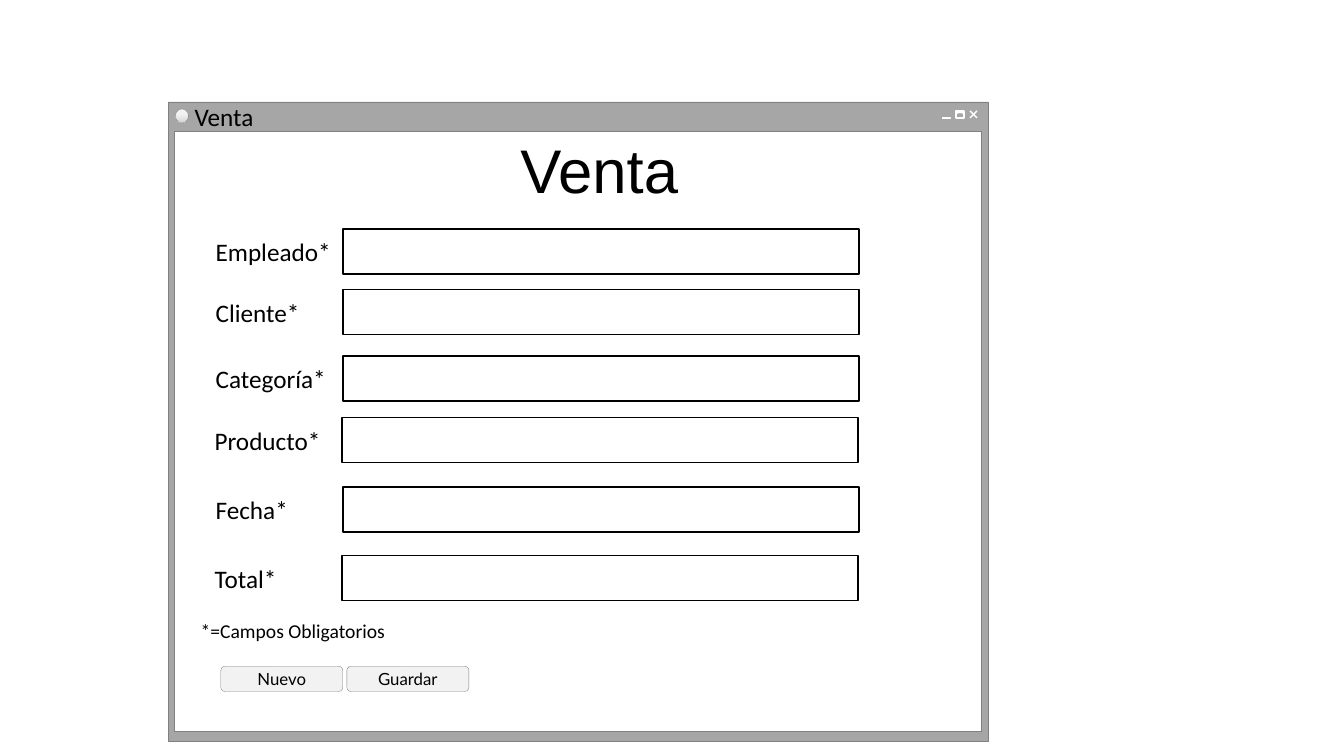
from copy import deepcopy

from lxml import etree
from pptx import Presentation
from pptx.dml.color import RGBColor
from pptx.enum.shapes import MSO_CONNECTOR, MSO_SHAPE
from pptx.enum.text import MSO_ANCHOR, PP_ALIGN
from pptx.oxml.ns import qn
from pptx.util import Inches, Pt

RECT, ROUNDED, OVAL = MSO_SHAPE.RECTANGLE, MSO_SHAPE.ROUNDED_RECTANGLE, MSO_SHAPE.OVAL
STRAIGHT = MSO_CONNECTOR.STRAIGHT
TOP, MIDDLE = MSO_ANCHOR.TOP, MSO_ANCHOR.MIDDLE
LEFT, CENTER = PP_ALIGN.LEFT, PP_ALIGN.CENTER

BLACK = RGBColor(0x00, 0x00, 0x00)
WHITE = RGBColor(0xFF, 0xFF, 0xFF)
FRAME_GRAY = RGBColor(0xA6, 0xA6, 0xA6)
EDGE_GRAY = RGBColor(0x80, 0x80, 0x80)
GLYPH_GRAY = RGBColor(0x91, 0x91, 0x91)
LIGHT = RGBColor(0xF2, 0xF2, 0xF2)
SHADE = RGBColor(0xD9, 0xD9, 0xD9)

WINDOW = (1.67, 1.01, 8.13, 6.34)
FORM = (1.73, 1.3, 8, 5.95)
FIELDS = [
    ("Empleado*", 0.31, 0.97),
    ("Cliente*", 0.31, 1.57),
    ("Categoría*", 0.31, 2.23),
    ("Producto*", 0.3, 2.84),
    ("Fecha*", 0.31, 3.53),
    ("Total*", 0.3, 4.21),
]
BUTTONS = ["Nuevo", "Guardar"]
BUTTON_STEP = 1.25


def draw_shape(slide, kind, box, fill, line, weight):
    shape = slide.shapes.add_shape(kind, *map(Inches, box))
    shape.shadow.inherit = False
    if fill is None:
        shape.fill.background()
    else:
        shape.fill.solid()
        shape.fill.fore_color.rgb = fill
    shape.line.color.rgb = line
    shape.line.width = Pt(weight)
    return shape


def write(shape, text, size, font="Calibri", align=LEFT, anchor=TOP,
          insets=(0.1, 0.05, 0.1, 0.05), wrap=True):
    frame = shape.text_frame
    left, top, right, bottom = map(Inches, insets)
    layout = {"margin_left": left, "margin_top": top, "margin_right": right,
              "margin_bottom": bottom, "vertical_anchor": anchor, "word_wrap": wrap}
    for name, value in layout.items():
        setattr(frame, name, value)
    paragraph = frame.paragraphs[0]
    paragraph.alignment = align
    run = paragraph.add_run()
    run.text = text
    run.font.size = Pt(size)
    run.font.name = font
    run.font.color.rgb = BLACK


def add_label(slide, box, text, size, **style):
    write(slide.shapes.add_textbox(*map(Inches, box)), text, size, **style)


def add_stroke(slide, x1, y1, x2, y2):
    stroke = slide.shapes.add_connector(STRAIGHT, *map(Inches, (x1, y1, x2, y2)))
    stroke.line.color.rgb = WHITE
    stroke.line.width = Pt(1)
    etree.SubElement(stroke._element.spPr, qn("a:effectLst"))


def shade_orb(orb):
    orb.fill.gradient()
    orb.fill.gradient_angle = 270
    stop_list = orb._element.spPr.find(".//" + qn("a:gsLst"))
    stop_list.append(deepcopy(stop_list[-1]))
    for stop, (position, color) in zip(
            orb.fill.gradient_stops, [(0.36, LIGHT), (0.91, SHADE), (1, LIGHT)]):
        stop.position = position
        stop.color.rgb = color


def add_window(slide, box):
    left, top, width, height = box
    right = left + width
    draw_shape(slide, RECT, box, FRAME_GRAY, EDGE_GRAY, 0.25)
    draw_shape(slide, RECT, FORM, WHITE, EDGE_GRAY, 0.25)
    add_label(slide, (left + 0.21, top - 0.03, 0.74, 0.35), "Venta", 18,
              anchor=MIDDLE, insets=(0.05, 0.02, 0.1, 0.03), wrap=False)

    close, upper, lower = right - 0.18, top + 0.09, top + 0.16
    add_stroke(slide, close, upper, close + 0.07, lower)
    add_stroke(slide, close + 0.07, upper, close, lower)
    maximize, minimize = right - 0.32, right - 0.46
    for x, y in [(maximize, top + 0.1), (minimize, top + 0.15)]:
        draw_shape(slide, RECT, (x, y, 0.08, 0.01), GLYPH_GRAY, WHITE, 0.25)
    draw_shape(slide, RECT, (maximize, upper, 0.08, 0.07), None, WHITE, 1)

    orb = draw_shape(slide, OVAL, (left + 0.07, top + 0.07, 0.13, 0.14),
                     LIGHT, EDGE_GRAY, 0.25)
    shade_orb(orb)


def add_form(slide, box):
    left, top, _, _ = box
    add_label(slide, (left + 0.98, top - 0.04, 6.47, 0.84), "Venta", 44,
              font="Arial", align=CENTER)
    for label, dx, dy in FIELDS:
        x, y = left + dx, top + dy
        add_label(slide, (x, y + 0.03, 1.48, 0.4), label, 18)
        draw_shape(slide, RECT, (x + 1.36, y, 5.12, 0.45), WHITE, BLACK, 1)
    add_label(slide, (left + 0.16, top + 4.79, 2.09, 0.34),
              "*=Campos Obligatorios", 14)
    for i, caption in enumerate(BUTTONS):
        button = draw_shape(
            slide, ROUNDED, (left + 0.46 + i * BUTTON_STEP, top + 5.31, 1.21, 0.25),
            LIGHT, EDGE_GRAY, 0.25)
        write(button, caption, 12, font="Lato", align=CENTER, anchor=MIDDLE,
              insets=(0.1, 0, 0.1, 0.01))


prs = Presentation()
prs.slide_width, prs.slide_height = Inches(13.33), Inches(7.5)
sale = prs.slides.add_slide(prs.slide_layouts[6])
add_window(sale, WINDOW)
add_form(sale, FORM)
prs.save("out.pptx")
